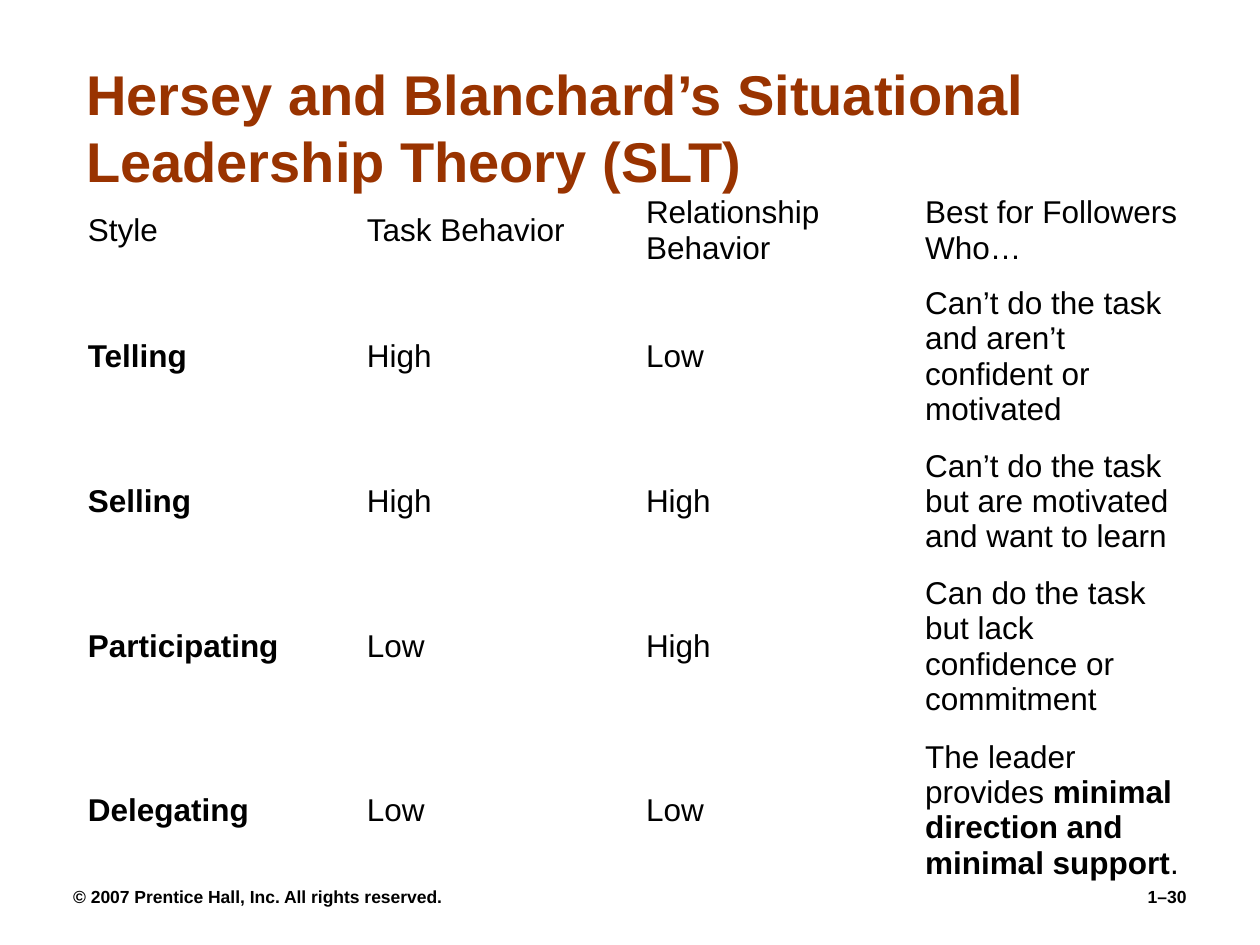
from lxml.etree import SubElement
from pptx import Presentation
from pptx.dml.color import RGBColor
from pptx.enum.text import MSO_ANCHOR as Anchor, MSO_AUTO_SIZE as AutoSize, PP_ALIGN as Align
from pptx.oxml.ns import qn
from pptx.util import Pt

RUST = RGBColor(0x99, 0x33, 0x00)
BLACK = RGBColor(0, 0, 0)
FONT = "Arial"
COL_WIDTH = 159.5
ROW_HEIGHTS = [50.4, 93.6, 72, 93.6, 93.6]
HEADERS = ["Style", "Task Behavior", "Relationship Behavior", "Best for Followers Who…"]
STYLES = [
    ("Telling", "High", "Low", [("Can’t do the task and aren’t confident or motivated", False)]),
    ("Selling", "High", "High", [("Can’t do the task but are motivated and want to learn", False)]),
    ("Participating", "Low", "High", [("Can do the task but lack confidence or commitment", False)]),
    ("Delegating", "Low", "Low", [("The leader provides ", False),
                                  ("minimal direction and minimal support", True),
                                  (".", False)]),
]


def add_runs(p, runs, size, color=BLACK):
    """Append (text, bold) runs to a paragraph."""
    for text, bold in runs:
        r = p.add_run()
        r.text = text
        r.font.name = FONT
        r.font.size = Pt(size)
        r.font.bold = bold
        r.font.color.rgb = color


def add_title(s, text):
    """Place and format the slide title."""
    sp = s.shapes.title
    sp.left, sp.top, sp.width, sp.height = Pt(42), Pt(30.2), Pt(690), Pt(122.4)
    tf = sp.text_frame
    tf.auto_size = AutoSize.NONE
    tf.word_wrap = True
    tf.vertical_anchor = Anchor.TOP
    p = tf.paragraphs[0]
    p.alignment = Align.LEFT
    p.line_spacing = 1.0
    add_runs(p, [(text, True)], 32, RUST)


def clear_cell(cell):
    """Remove the borders and fill of a table cell."""
    tc_pr = cell._tc.get_or_add_tcPr()
    for side in ("a:lnL", "a:lnR", "a:lnT", "a:lnB"):
        SubElement(SubElement(tc_pr, qn(side), w="0"), qn("a:noFill"))
    cell.fill.background()


def add_style_table(s):
    """Add the plain table of leadership styles."""
    rows = [[[(text, False)] for text in HEADERS]]
    for style, task, relation, followers in STYLES:
        rows.append([[(style, True)], [(task, False)], [(relation, False)], followers])
    tbl = s.shapes.add_table(len(rows), len(HEADERS), Pt(43), Pt(106.6),
                             Pt(COL_WIDTH * len(HEADERS)), Pt(sum(ROW_HEIGHTS))).table
    tbl.first_row = tbl.horz_banding = False
    for col in tbl.columns:
        col.width = Pt(COL_WIDTH)
    for i, (row, height) in enumerate(zip(rows, ROW_HEIGHTS)):
        tbl.rows[i].height = Pt(height)
        for j, runs in enumerate(row):
            cell = tbl.cell(i, j)
            clear_cell(cell)
            cell.vertical_anchor = Anchor.MIDDLE
            add_runs(cell.text_frame.paragraphs[0], runs, 18)


def add_footer(s, text, left, width, align):
    """Add one bottom-anchored footer text."""
    tf = s.shapes.add_textbox(Pt(left), Pt(486), Pt(width), Pt(36)).text_frame
    tf.word_wrap = True
    tf.vertical_anchor = Anchor.BOTTOM
    tf.margin_left = tf.margin_right = Pt(0)
    p = tf.paragraphs[0]
    p.alignment = align
    add_runs(p, [(text, True)], 10)


def main():
    """Build the slide and save it."""
    prs = Presentation()
    prs.slide_width, prs.slide_height = Pt(720), Pt(540)
    s = prs.slides.add_slide(prs.slide_layouts[5])
    add_title(s, "Hersey and Blanchard’s Situational Leadership Theory (SLT)")
    add_style_table(s)
    add_footer(s, "© 2007 Prentice Hall, Inc. All rights reserved.", 41.8, 318.2, Align.LEFT)
    add_footer(s, "1–30", 504, 174, Align.RIGHT)
    prs.save("out.pptx")


if __name__ == "__main__":
    main()
